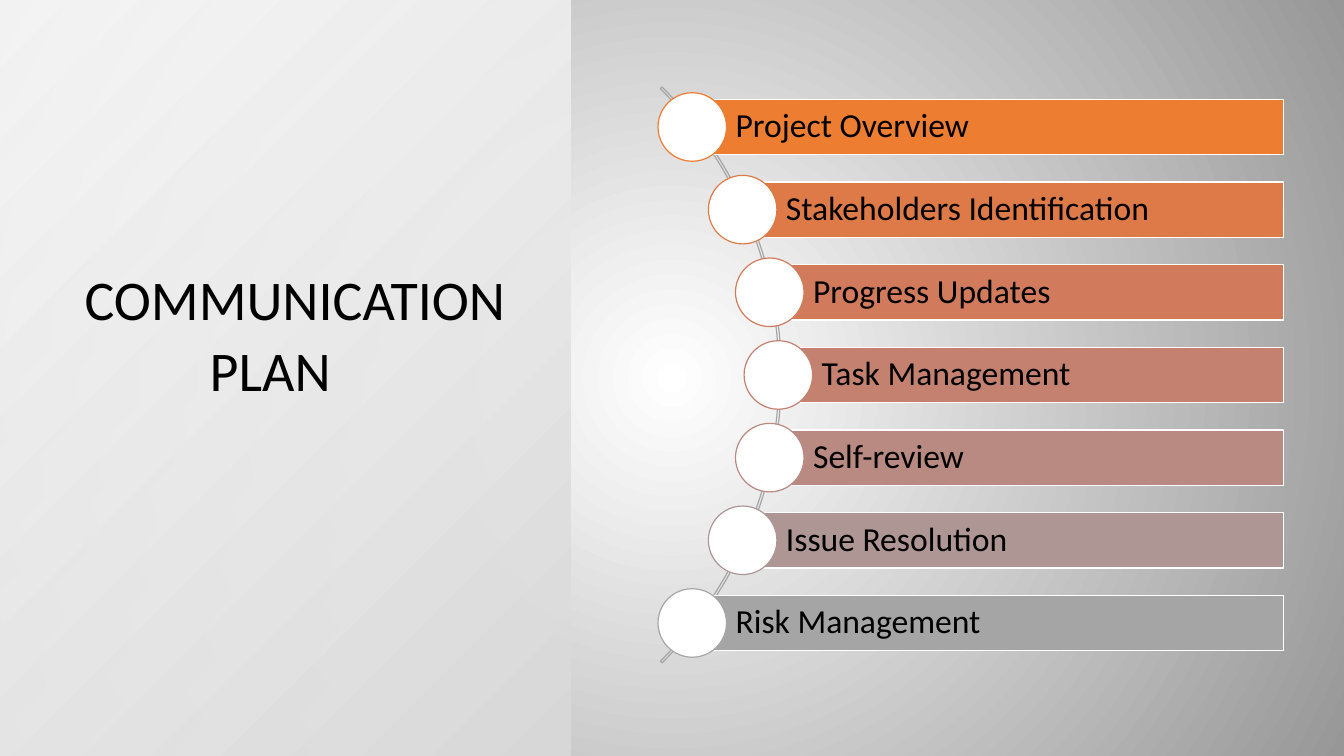
"""Build a communication plan slide with seven topics along an arc."""
from math import sqrt

from lxml.etree import SubElement
from pptx import Presentation
from pptx.dml.color import RGBColor
from pptx.enum.shapes import MSO_SHAPE
from pptx.enum.text import MSO_ANCHOR, PP_ALIGN
from pptx.oxml.ns import qn
from pptx.util import Inches, Pt

BLACK = RGBColor(0x00, 0x00, 0x00)
WHITE = RGBColor(0xFF, 0xFF, 0xFF)
GRAY = RGBColor(0xA5, 0xA5, 0xA5)
LIGHT_GRAY = RGBColor(0xD9, 0xD9, 0xD9)
DARK_GRAY = RGBColor(0x97, 0x97, 0x97)

TITLE_LINES = [
    ("COMMUNICATION", 0.74, 2.65, 4.41, 0.1),
    ("PLAN", 1.47, 3.35, 2.91, 0.61),
]
TOPICS = [
    ("Project Overview", RGBColor(0xED, 0x7D, 0x31)),
    ("Stakeholders Identification", RGBColor(0xDE, 0x7A, 0x47)),
    ("Progress Updates", RGBColor(0xD1, 0x7B, 0x5C)),
    ("Task Management", RGBColor(0xC4, 0x81, 0x70)),
    ("Self-review", RGBColor(0xB9, 0x8A, 0x82)),
    ("Issue Resolution", RGBColor(0xAE, 0x96, 0x94)),
    ("Risk Management", GRAY),
]
SLIDE_WIDTH, SLIDE_HEIGHT = 13.33, 7.5
PANEL_WIDTH = 5.66
ARC_LEFT, ARC_TOP, ARC_SIZE = -0.33, -0.32, 8.08
CURVE_X, CURVE_Y, CURVE_RADIUS = 3.75, 3.72, 3.97
ROW_STEP, BAR_RIGHT, BAR_HEIGHT, CIRCLE_SIZE = 0.82, 12.73, 0.55, 0.68


def set_circle_gradient(fill, stops, focus):
    """Fill with a circular gradient of (colour, opacity percent) stops."""
    fill.gradient()
    for stop, (color, opacity) in zip(fill.gradient_stops, stops):
        stop.color.rgb = color
    gradient = fill.gradient_stops[0]._gs.getparent().getparent()
    for stop, position, (color, opacity) in zip(gradient.find(qn("a:gsLst")), (0, 100000), stops):
        stop.set("pos", str(position))
        if opacity < 100:
            SubElement(stop[0], qn("a:alpha"), val=str(opacity * 1000))
    gradient.remove(gradient.find(qn("a:lin")))
    circle = SubElement(gradient, qn("a:path"))
    circle.set("path", "circle")
    target = SubElement(circle, qn("a:fillToRect"))
    for side, percent in zip("ltrb", focus):
        target.set(side, str(percent * 1000))


def add_shape(slide, kind, left, top, width, height, fill=None, line=None):
    """Add a flat shape; a missing colour means no fill or no line."""
    shape = slide.shapes.add_shape(kind, Inches(left), Inches(top), Inches(width), Inches(height))
    shape.shadow.inherit = False
    if fill is None:
        shape.fill.background()
    else:
        shape.fill.solid()
        shape.fill.fore_color.rgb = fill
    if line is None:
        shape.line.fill.background()
    else:
        shape.line.color.rgb = line
        shape.line.width = Pt(0.85)
    return shape


def write_text(shape, text, size, left_margin):
    """Write one left-aligned line of text into a shape."""
    frame = shape.text_frame
    frame.word_wrap = True
    frame.margin_left = Inches(left_margin)
    paragraph = frame.paragraphs[0]
    paragraph.text = text
    paragraph.alignment = PP_ALIGN.LEFT
    paragraph.line_spacing = 0.9
    paragraph.font.name = "Calibri"
    paragraph.font.size = Pt(size)
    paragraph.font.color.rgb = BLACK
    return frame


def add_topic(slide, index, text, color):
    """Add a bar and its circle, centred on the curve."""
    offset = (index - (len(TOPICS) - 1) / 2) * ROW_STEP
    center_x = CURVE_X + sqrt(CURVE_RADIUS ** 2 - offset ** 2)
    center_y = CURVE_Y + offset
    bar = add_shape(slide, MSO_SHAPE.RECTANGLE, center_x, center_y - BAR_HEIGHT / 2,
                    BAR_RIGHT - center_x, BAR_HEIGHT, color, WHITE)
    frame = write_text(bar, text, 24, 0.43)
    frame.margin_top = frame.margin_right = frame.margin_bottom = Inches(0.07)
    frame.vertical_anchor = MSO_ANCHOR.MIDDLE
    add_shape(slide, MSO_SHAPE.OVAL, center_x - CIRCLE_SIZE / 2, center_y - CIRCLE_SIZE / 2,
              CIRCLE_SIZE, CIRCLE_SIZE, WHITE, color)


def main():
    """Build and save the slide."""
    presentation = Presentation()
    presentation.slide_width = Inches(SLIDE_WIDTH)
    presentation.slide_height = Inches(SLIDE_HEIGHT)
    slide = presentation.slides.add_slide(presentation.slide_layouts[6])
    set_circle_gradient(slide.background.fill, [(WHITE, 100), (DARK_GRAY, 100)], (50, 50, 50, 50))

    panel = add_shape(slide, MSO_SHAPE.RECTANGLE, 0, 0, PANEL_WIDTH, SLIDE_HEIGHT)
    set_circle_gradient(panel.fill, [(LIGHT_GRAY, 100), (WHITE, 89)], (100, 100, 0, 0))

    arc = add_shape(slide, MSO_SHAPE.BLOCK_ARC, ARC_LEFT, ARC_TOP, ARC_SIZE, ARC_SIZE, line=GRAY)
    for position, value in enumerate((189, 27, 0.003)):
        arc.adjustments[position] = value

    for index, (text, color) in enumerate(TOPICS):
        add_topic(slide, index, text, color)
    for text, left, top, width, margin in TITLE_LINES:
        box = slide.shapes.add_textbox(Inches(left), Inches(top), Inches(width), Inches(0.71))
        write_text(box, text, 40, margin)
    presentation.save("out.pptx")


if __name__ == "__main__":
    main()
